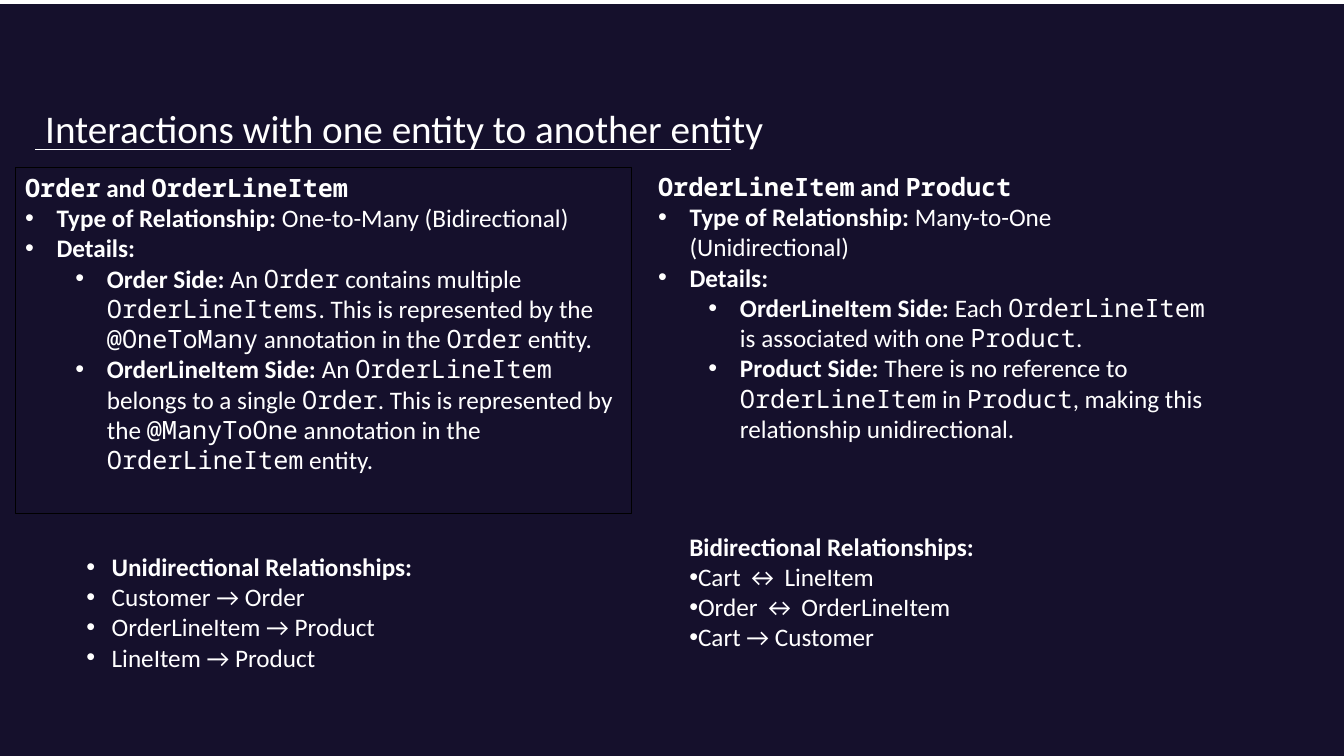
"""Build a slide on how order, product and cart entities relate."""
from dataclasses import dataclass
from typing import Optional

from lxml.etree import SubElement
from pptx import Presentation
from pptx.dml.color import RGBColor as Rgb
from pptx.enum.shapes import MSO_CONNECTOR as Connector, MSO_SHAPE as Preset
from pptx.enum.text import MSO_ANCHOR as Anchor, PP_ALIGN as Align
from pptx.oxml.ns import qn
from pptx.util import Pt

COLORS = {"night": "15102C", "text": "FFFFFF", "frame": "000000"}
BODY_FONT, CODE_FONT = "Calibri", "Noto Sans Mono"


@dataclass(frozen=True)
class Line:
    """A paragraph; *stars* mark bold and `backticks` mark code."""
    text: str
    indent: Optional[float] = None
    hanging: float = 0
    level: int = 0


@dataclass(frozen=True)
class Panel:
    """A block of lines with its place in points."""
    left: float
    top: float
    width: float
    height: float
    lines: tuple[Line, ...]
    size: float = 18
    framed: bool = False


def point(text: str) -> Line:
    """Return a first-level bullet."""
    return Line(text, 22.5, 22.5)


def detail(text: str) -> Line:
    """Return a second-level bullet."""
    return Line(text, 58.5, 22.5, 1)


def pair(text: str) -> Line:
    """Return a bullet for a one-way relationship."""
    return Line(text, 18, 18, 1)


PANELS = (
    Panel(25.2, 71.3, 563.8, 41, (Line("Interactions with one entity to another entity"),), size=28),
    Panel(10.8, 119.5, 440.6, 247, (
        Line("*`Order` and `OrderLineItem`*"),
        point("*Type of Relationship:* One-to-Many (Bidirectional)"),
        point("*Details:*"),
        detail("*Order Side:* An `Order` contains multiple `OrderLineItems`. This is represented "
               "by the `@OneToMany` annotation in the `Order` entity."),
        detail("*OrderLineItem Side:* An `OrderLineItem` belongs to a single `Order`. This is "
               "represented by the `@ManyToOne` annotation in the `OrderLineItem` entity."),
    ), framed=True),
    Panel(463, 118.8, 406.1, 225.4, (
        Line("*`OrderLineItem` and `Product`*"),
        point("*Type of Relationship:* Many-to-One (Unidirectional)"),
        point("*Details:*"),
        detail("*OrderLineItem Side:* Each `OrderLineItem` is associated with one `Product`."),
        detail("*Product Side:* There is no reference to `OrderLineItem` in `Product`, making "
               "this relationship unidirectional."),
    )),
    Panel(54.7, 390.2, 401, 94.3, (
        Line("*Unidirectional Relationships:*", 18, 18),
        pair("Customer → Order"),
        pair("OrderLineItem → Product"),
        pair("LineItem → Product"),
    )),
    Panel(485.3, 375.8, 372.2, 94.3, (
        Line("*Bidirectional Relationships:*"),
        Line("Cart ↔ LineItem", 0),
        Line("Order ↔ OrderLineItem", 0),
        Line("Cart → Customer", 0),
    )),
)


def color(name: str) -> Rgb:
    """Look up a named colour."""
    return Rgb.from_string(COLORS[name])


def add_bullet(para, line: Line) -> None:
    """Give a paragraph its bullet and indent."""
    properties = para._p.get_or_add_pPr()
    properties.set("marL", str(Pt(line.indent)))
    properties.set("indent", str(-Pt(line.hanging)))
    SubElement(properties, qn("a:buFont")).set("typeface", "Arial")
    SubElement(properties, qn("a:buChar")).set("char", "•")


def write_line(para, line: Line, size: float) -> None:
    """Write the spans of one line."""
    para.alignment = Align.LEFT
    para.level = line.level
    if line.indent is not None:
        add_bullet(para, line)
    for bold_turn, part in enumerate(line.text.split("*")):
        for code_turn, piece in enumerate(part.split("`")):
            if not piece:
                continue
            span = para.add_run()
            span.text = piece
            span.font.size = Pt(size)
            span.font.bold = bold_turn % 2 == 1
            span.font.name = CODE_FONT if code_turn % 2 else BODY_FONT
            span.font.color.rgb = color("text")


def draw_panel(page, panel: Panel) -> None:
    """Draw a text panel, with a frame if it has one."""
    place = [Pt(value) for value in (panel.left, panel.top, panel.width, panel.height)]
    if panel.framed:
        box = page.shapes.add_shape(Preset.RECTANGLE, *place)
        box.shadow.inherit = False
        box.fill.background()
        box.line.color.rgb = color("frame")
        box.line.width = Pt(0.75)
    else:
        box = page.shapes.add_textbox(*place)
    frame = box.text_frame
    frame.word_wrap = True
    frame.vertical_anchor = Anchor.TOP
    for index, line in enumerate(panel.lines):
        para = frame.add_paragraph() if index else frame.paragraphs[0]
        write_line(para, line, panel.size)


def draw_backdrop(page) -> None:
    """Draw the dark backdrop and the rule under the title."""
    backdrop = page.shapes.add_shape(Preset.RECTANGLE, Pt(0), Pt(2.9), Pt(960), Pt(540))
    backdrop.shadow.inherit = False
    backdrop.fill.solid()
    backdrop.fill.fore_color.rgb = color("night")
    backdrop.line.fill.background()
    rule = page.shapes.add_connector(Connector.STRAIGHT, Pt(25.2), Pt(106.6), Pt(522), Pt(106.6))
    rule.line.color.rgb = color("text")
    rule.line.width = Pt(0.5)
    SubElement(rule._element.spPr, qn("a:effectLst"))


def main() -> None:
    """Build and save the deck."""
    deck = Presentation()
    deck.slide_width, deck.slide_height = Pt(960), Pt(540)
    page = deck.slides.add_slide(deck.slide_layouts[6])
    draw_backdrop(page)
    for panel in PANELS:
        draw_panel(page, panel)
    deck.save("out.pptx")


if __name__ == "__main__":
    main()
